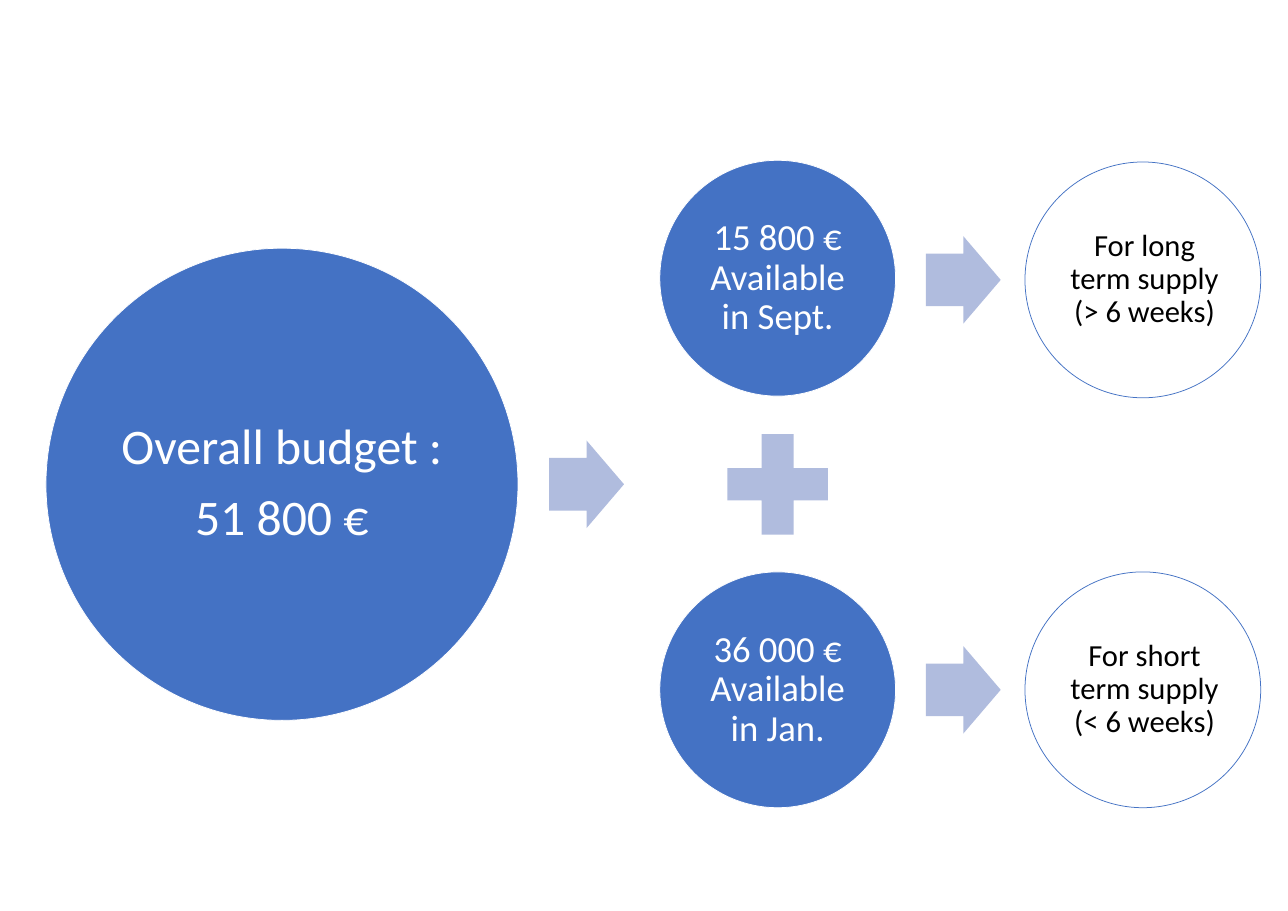
from pptx import Presentation
from pptx.dml.color import RGBColor
from pptx.enum.shapes import MSO_SHAPE
from pptx.enum.text import MSO_ANCHOR, PP_ALIGN
from pptx.util import Emu, Pt

PX = 9144  # 100 px to the inch
A2_LANDSCAPE = (21383625, 15119350)  # EMU
BLUE, PALE, WHITE, BLACK = "4472C4", "B0BCDE", "FFFFFF", "000000"

OVERALL = ["Overall budget :", "51 800 €"]
# available sum, its centre y, purpose, its centre y, label height
PARTS = [
    ("15 800 €\vAvailable in Sept.", 505, "For long term supply (> 6 weeks)", 508, 285),
    ("36 000 €\vAvailable in Jan.", 1252, "For short term supply (< 6 weeks)", 1252, 292),
]

OVERALL_X, AVAILABLE_X, SUPPLY_X, LABEL_X = 512, 1412, 2075, 2078
SPLIT_ARROW_X, SUPPLY_ARROW_X = 1065, 1749
MIDDLE_Y = 879
BIG, SMALL, PLUS, LABEL_W = 857, 428, 248, 299
ARROW = (136, 159)

SUM_STYLE = {"color": WHITE, "size": 48, "inset": 7}
OVERALL_STYLE = {"color": WHITE, "size": 65, "inset": 9}
SUPPLY_STYLE = {"color": BLACK, "size": 40, "inset": 7}


def rgb(value):
    return RGBColor.from_string(value)


def add_centred(kind, cx, cy, w, h, fill, line=None):
    """Add a shape by its centre, without outline unless a line colour is given."""
    box = (cx - w / 2, cy - h / 2, w, h)
    sp = s.shapes.add_shape(kind, *(Emu(round(v * PX)) for v in box))
    sp.shadow.inherit = False
    sp.fill.solid()
    sp.fill.fore_color.rgb = rgb(fill)
    if line:
        sp.line.color.rgb = rgb(line)
        sp.line.width = Pt(1)
    else:
        sp.line.fill.background()
    return sp


def write(sp, paragraphs, style):
    tf = sp.text_frame
    tf.word_wrap = True
    tf.vertical_anchor = MSO_ANCHOR.MIDDLE
    for side in ("left", "top", "right", "bottom"):
        setattr(tf, f"margin_{side}", Emu(style["inset"] * PX))
    tf.text = "\n".join(paragraphs)
    for i, p in enumerate(tf.paragraphs):
        p.alignment = PP_ALIGN.CENTER
        p.line_spacing = 0.9
        p.space_before = Pt(0.35 * style["size"] if i else 0)
        for r in p.runs:
            for name, value in {"name": "Calibri", "size": Pt(style["size"])}.items():
                setattr(r.font, name, value)
            r.font.color.rgb = rgb(style["color"])


def add_circle(cx, cy, d, fill, line):
    return add_centred(MSO_SHAPE.OVAL, cx, cy, d, d, fill, line)


def add_arrow(cx, cy):
    sp = add_centred(MSO_SHAPE.RIGHT_ARROW, cx, cy, *ARROW, PALE)
    sp.adjustments[0] = 0.6


prs = Presentation()
prs.slide_width, prs.slide_height = (Emu(v) for v in A2_LANDSCAPE)
s = prs.slides.add_slide(prs.slide_layouts[6])

write(add_circle(OVERALL_X, MIDDLE_Y, BIG, BLUE, WHITE), OVERALL, OVERALL_STYLE)
add_arrow(SPLIT_ARROW_X, MIDDLE_Y)
add_centred(MSO_SHAPE.MATH_PLUS, AVAILABLE_X, MIDDLE_Y, PLUS, PLUS, PALE)
for available, available_y, supply, supply_y, label_h in PARTS:
    write(add_circle(AVAILABLE_X, available_y, SMALL, BLUE, WHITE), [available], SUM_STYLE)
    add_arrow(SUPPLY_ARROW_X, supply_y)
    add_circle(SUPPLY_X, supply_y, SMALL, WHITE, BLUE)
    label = add_centred(MSO_SHAPE.RECTANGLE, LABEL_X, supply_y, LABEL_W, label_h, WHITE, WHITE)
    write(label, [supply], SUPPLY_STYLE)

prs.save("out.pptx")
